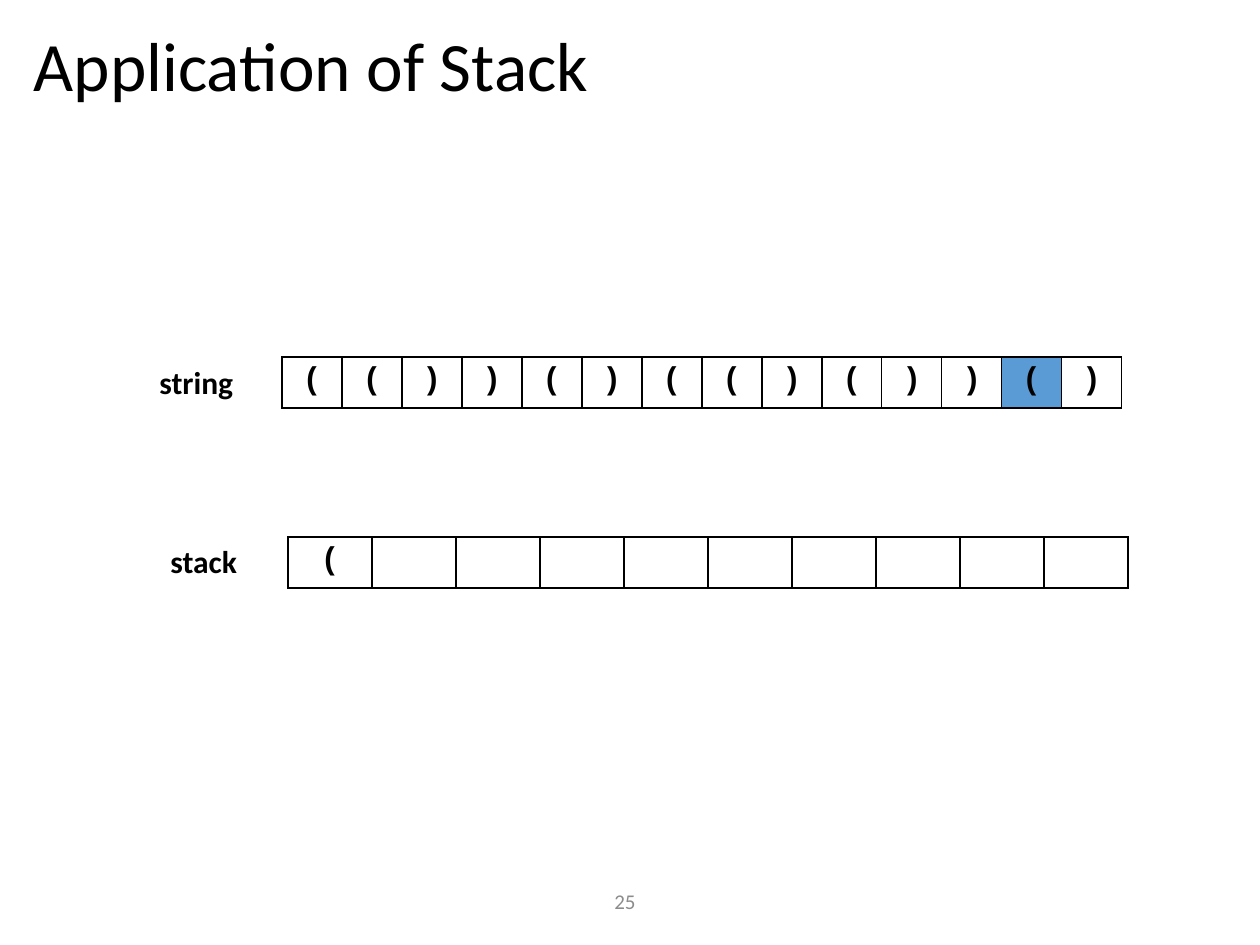
from lxml import etree
from pptx import Presentation
from pptx.dml.color import RGBColor
from pptx.enum.text import MSO_ANCHOR, PP_ALIGN
from pptx.oxml.ns import qn
from pptx.util import Pt

PX = 914400 / 126
LEFT, CENTER = PP_ALIGN.LEFT, PP_ALIGN.CENTER
MIDDLE = MSO_ANCHOR.MIDDLE
BLACK, GREY, HIGHLIGHT = "000000", "8C8C8C", "5B9BD5"
TITLE_ONLY = 5
ROW_WIDTH, ROW_HEIGHT = 840, 51


def px(length):
    return round(length * PX)


def color(hex_value):
    return RGBColor.from_string(hex_value)


def style(paragraph, size, font="Calibri", ink=BLACK, bold=False, align=LEFT):
    paragraph.alignment = align
    paragraph.font.name = font
    paragraph.font.size = Pt(size)
    paragraph.font.bold = bold
    paragraph.font.color.rgb = color(ink)


def add_title(slide, left, top, width, height):
    title = slide.shapes.title
    title.left, title.top, title.width, title.height = map(px, (left, top, width, height))
    title.text_frame.text = "Application of Stack"
    title.text_frame.vertical_anchor = MIDDLE
    heading = title.text_frame.paragraphs[0]
    heading.line_spacing = 0.9
    style(heading, 39.6)


def add_label(slide, text, left, top, width, height, **look):
    label = slide.shapes.add_textbox(*map(px, (left, top, width, height)))
    label.text_frame.word_wrap = True
    label.text_frame.vertical_anchor = MIDDLE
    label.text_frame.text = text
    style(label.text_frame.paragraphs[0], **look)


def add_cell_borders(cell):
    properties = cell._tc.get_or_add_tcPr()
    for position, side in enumerate(("a:lnL", "a:lnR", "a:lnT", "a:lnB")):
        line = etree.Element(qn(side), w=str(Pt(1)))
        fill = etree.SubElement(line, qn("a:solidFill"))
        etree.SubElement(fill, qn("a:srgbClr"), val=BLACK)
        properties.insert(position, line)


def add_symbol_row(slide, symbols, left, top, current=None):
    """Draw one bordered cell per symbol and highlight the current one."""
    count = len(symbols)
    table = slide.shapes.add_table(
        1, count, *map(px, (left, top, ROW_WIDTH, ROW_HEIGHT))).table
    table.first_row = table.horz_banding = False
    for index, symbol in enumerate(symbols):
        table.columns[index].width = px(ROW_WIDTH / count)
        cell = table.cell(0, index)
        cell.text = symbol
        style(cell.text_frame.paragraphs[0], 18, "Courier New", bold=True, align=CENTER)
        if index == current:
            cell.fill.solid()
            cell.fill.fore_color.rgb = color(HIGHLIGHT)
        else:
            cell.fill.background()
        add_cell_borders(cell)


def main():
    prs = Presentation()
    prs.slide_width, prs.slide_height = px(1260), px(945)
    slide = prs.slides.add_slide(prs.slide_layouts[TITLE_ONLY])
    add_title(slide, 21, 23, 1212, 93)
    add_label(slide, "string", 147, 357, 117, 50, size=18, bold=True)
    add_symbol_row(slide, "(())()(()())()", 282, 357, current=12)
    add_label(slide, "stack", 158, 536, 112, 50, size=18, bold=True)
    add_symbol_row(slide, ["("] + [""] * 9, 288, 537)
    add_label(slide, "25", 330, 876, 590, 50, size=12, ink=GREY, align=CENTER)
    prs.save("out.pptx")


if __name__ == "__main__":
    main()
